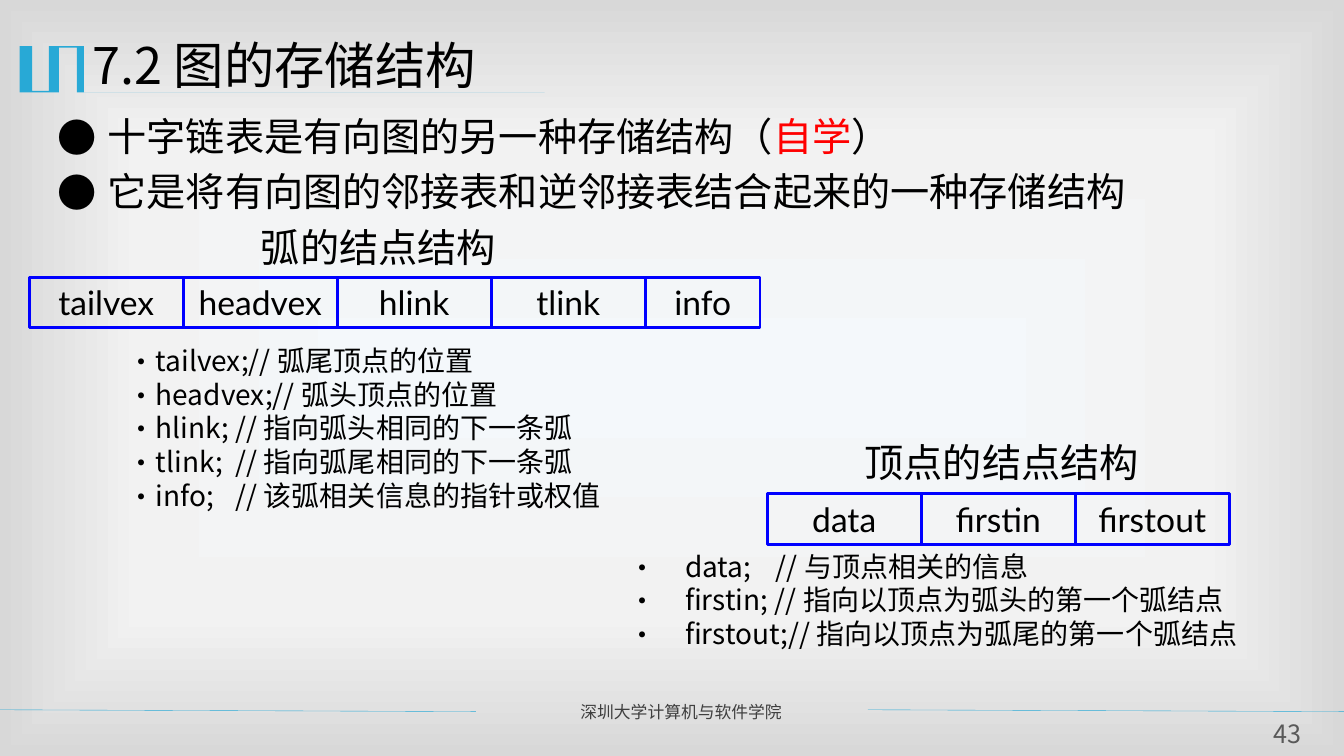
from dataclasses import dataclass

from lxml import etree
from pptx import Presentation
from pptx.dml.color import RGBColor
from pptx.enum.shapes import MSO_CONNECTOR, MSO_SHAPE
from pptx.enum.text import MSO_ANCHOR, PP_ALIGN
from pptx.oxml import parse_xml
from pptx.oxml.ns import nsdecls, qn
from pptx.util import Pt

LEFT, CENTER = PP_ALIGN.LEFT, PP_ALIGN.CENTER
MIDDLE = MSO_ANCHOR.MIDDLE
RECT = MSO_SHAPE.RECTANGLE
STRAIGHT = MSO_CONNECTOR.STRAIGHT

COLORS = {"black": "000000", "red": "FF0000", "blue": "0000FF", "accent": "28A9D6",
          "footer": "3F3F3F", "number": "595959"}
STOPS = [(0, "F4F8FB"), (63, "F2F2F2"), (100, "D8D8D8")]
SANS, LATIN = "Noto Sans CJK SC", "Lato"
LEADING = 1.2


@dataclass
class Note:
    """A text box; a line is a string or a list of (text, color) runs."""
    left: float
    top: float
    width: float
    height: float
    lines: list
    size: float
    color: str = "black"
    align: int = LEFT
    inset: float = 7.2
    bullet: str = ""
    margin: float = 0
    hang: float = 0
    gap: float = 0
    tab: float = 0


@dataclass
class Record:
    """A row of adjoining field cells."""
    left: float
    top: float
    fields: list


def rgb(name: str) -> RGBColor:
    return RGBColor.from_string(COLORS[name])


def style(para, size: float, color: str, face: str) -> None:
    font = para.font
    font.size, font.name = Pt(size), face
    font.color.rgb = rgb(color)
    props = para._p.get_or_add_pPr().find(qn("a:defRPr"))
    etree.SubElement(props, qn("a:ea")).set("typeface", SANS)


def indent(para, note: Note) -> None:
    props = para._p.get_or_add_pPr()
    props.set("marL", str(Pt(note.margin)))
    props.set("indent", str(Pt(-note.hang)))
    etree.SubElement(props, qn("a:buFont")).set("typeface", SANS)
    etree.SubElement(props, qn("a:buChar")).set("char", note.bullet)
    if note.tab:
        tabs = etree.SubElement(props, qn("a:tabLst"))
        stop = etree.SubElement(tabs, qn("a:tab"))
        stop.set("pos", str(Pt(note.tab)))
        stop.set("algn", "l")


def draw_note(shapes, note: Note) -> None:
    box = shapes.add_textbox(Pt(note.left), Pt(note.top), Pt(note.width), Pt(note.height))
    frame = box.text_frame
    frame.word_wrap = True
    frame.margin_left = frame.margin_right = Pt(note.inset)
    frame.margin_top = frame.margin_bottom = Pt(note.inset / 2)
    for i, line in enumerate(note.lines):
        para = frame.paragraphs[0] if i == 0 else frame.add_paragraph()
        para.alignment = note.align
        para.line_spacing = Pt(note.size * LEADING)
        if i and note.gap:
            para.space_before = Pt(note.gap)
        if note.bullet:
            indent(para, note)
        style(para, note.size, note.color, SANS)
        for text, color in [(line, note.color)] if isinstance(line, str) else line:
            run = para.add_run()
            run.text = text
            if color != note.color:
                run.font.color.rgb = rgb(color)


def draw_row(shapes, row: Record) -> None:
    left = row.left
    for name, width in row.fields:
        cell = shapes.add_shape(RECT, Pt(left), Pt(row.top), Pt(width), Pt(36))
        cell.shadow.inherit = False
        cell.fill.background()
        cell.line.color.rgb = rgb("blue")
        cell.line.width = Pt(2)
        frame = cell.text_frame
        frame.margin_left = frame.margin_right = 0
        frame.vertical_anchor = MIDDLE
        para = frame.paragraphs[0]
        para.alignment = CENTER
        style(para, 24, "black", LATIN)
        para.add_run().text = name
        left += width


def draw_rule(shapes, left: float, right: float) -> None:
    rule = shapes.add_connector(STRAIGHT, Pt(left), Pt(507), Pt(right), Pt(508.3))
    rule.line.color.rgb = rgb("accent")
    rule.line.width = Pt(0.25)
    etree.SubElement(rule._element.spPr, qn("a:effectLst"))


def draw_mark(shapes) -> None:
    top, base = 33, 66.2
    pen = shapes.build_freeform(59, top, scale=Pt(1))
    pen.add_line_segments([
        (59.8, top), (59.8, 65.5), (389, 65.5), (389, base), (55.4, base), (55.4, 34.5),
        (42.5, 34.5), (42.5, base), (13.7, base), (13.7, top), (23, top), (23, 64.8),
        (35.3, 64.8), (35.3, top)], close=True)
    mark = pen.convert_to_shape()
    mark.shadow.inherit = False
    mark.fill.solid()
    mark.fill.fore_color.rgb = rgb("accent")
    mark.line.fill.background()


def paint(slide) -> None:
    slide.background.fill.gradient()
    old = slide.element.find(".//" + qn("a:gradFill"))
    stops = "".join(f'<a:gs pos="{pos * 1000}"><a:srgbClr val="{val}"/></a:gs>'
                    for pos, val in STOPS)
    new = parse_xml(
        f'<a:gradFill {nsdecls("a")} rotWithShape="1"><a:gsLst>{stops}</a:gsLst>'
        '<a:path path="rect"><a:fillToRect l="50000" t="50000" r="50000" b="50000"/>'
        '</a:path></a:gradFill>')
    old.getparent().replace(old, new)


NOTES = [
    # Title, footer and page number
    Note(59, 21, 864, 62.6, ["7.2 图的存储结构"], 36),
    Note(407.5, 497.5, 205, 21.6, ["深圳大学计算机与软件学院"], 12, "footer"),
    Note(898.6, 513.4, 42.5, 22.3, ["43"], 18, "number", CENTER, 0),
    # Main points
    Note(33.8, 76.5, 873, 96.5, [
        [("十字链表是有向图的另一种存储结构（", "black"), ("自学", "red"), ("）", "black")],
        "它是将有向图的邻接表和逆邻接表结合起来的一种存储结构",
    ], 28, bullet="●", margin=36, hang=36, gap=5.6),
    # Arc node
    Note(179.3, 156.2, 184.3, 41, ["弧的结点结构"], 28),
    Note(66.2, 242, 480, 128, [
        "tailvex;// 弧尾顶点的位置",
        "headvex;// 弧头顶点的位置",
        "hlink;\t// 指向弧头相同的下一条弧",
        "tlink;\t// 指向弧尾相同的下一条弧",
        "info;\t// 该弧相关信息的指针或权值",
    ], 20, bullet="•", margin=36, hang=18, tab=95),
    # Vertex node
    Note(610.6, 309.6, 220.3, 41, ["顶点的结点结构"], 28),
    Note(406, 388.8, 533, 80, [
        "data;\t// 与顶点相关的信息",
        "firstin; // 指向以顶点为弧头的第一个弧结点",
        "firstout;// 指向以顶点为弧尾的第一个弧结点",
    ], 20, bullet="•", margin=76.3, hang=40.3, tab=141),
]
ROWS = [
    Record(20.9, 198, [("tailvex", 110), ("headvex", 110), ("hlink", 110),
                       ("tlink", 110), ("info", 82)]),
    Record(548, 352.8, [("data", 110), ("firstin", 110), ("firstout", 110)]),
]


def main() -> None:
    deck = Presentation()
    deck.slide_width, deck.slide_height = Pt(960), Pt(540)
    slide = deck.slides.add_slide(deck.slide_layouts[6])
    paint(slide)
    draw_mark(slide.shapes)
    for left, right in [(0, 340), (620, 960)]:
        draw_rule(slide.shapes, left, right)
    for note in NOTES:
        draw_note(slide.shapes, note)
    for row in ROWS:
        draw_row(slide.shapes, row)
    deck.save("out.pptx")


if __name__ == "__main__":
    main()
